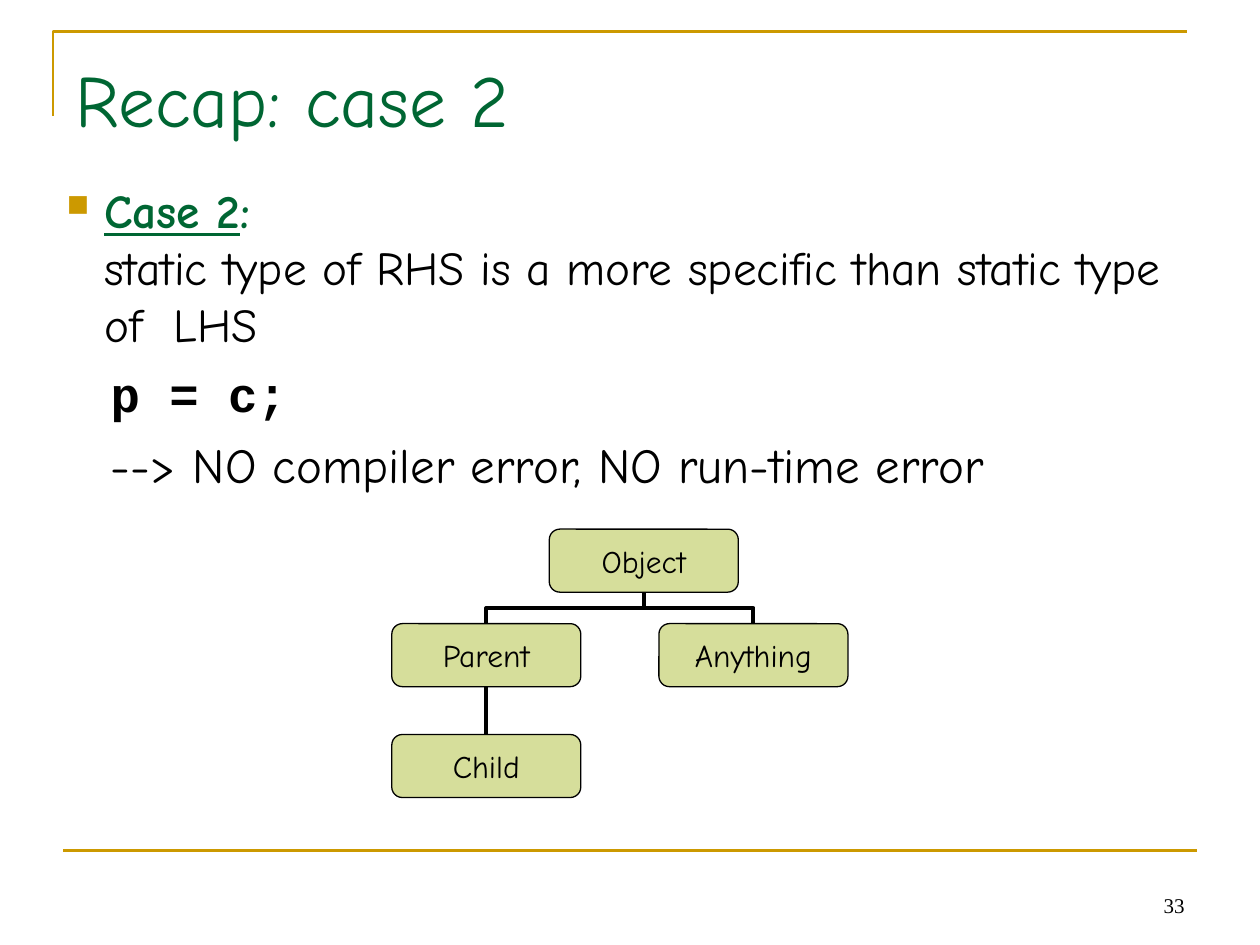
from dataclasses import dataclass

from lxml import etree
from pptx import Presentation
from pptx import util as u
from pptx.dml.color import RGBColor
from pptx.enum import shapes, text
from pptx.oxml import ns

Inches, Pt = u.Inches, u.Pt


@dataclass(frozen=True)
class Theme:
    gold: RGBColor = RGBColor(0xCC, 0x99, 0x00)
    green: RGBColor = RGBColor(0x00, 0x66, 0x33)
    black: RGBColor = RGBColor(0, 0, 0)
    olive: RGBColor = RGBColor(0xAF, 0xBF, 0x39)
    hand: str = "Comic Neue"
    code: str = "Courier New"
    serif: str = "Times New Roman"
    title: u.Pt = Pt(42)
    body: u.Pt = Pt(27)
    code_size: u.Pt = Pt(28)
    label: u.Pt = Pt(18)
    number: u.Pt = Pt(12)


theme = Theme()


def set_font(target, name, size, color, bold=False):
    target.font.name, target.font.size = name, size
    target.font.color.rgb, target.font.bold = color, bold


def add_line(kind, start, end, color, width):
    line = page.shapes.add_connector(kind, *(Inches(v) for v in (*start, *end)))
    line.line.color.rgb, line.line.width = color, Pt(width)
    etree.SubElement(line._element.spPr, ns.qn("a:effectLst"))
    return line


deck = Presentation()
deck.slide_width, deck.slide_height = Inches(10), Inches(7.5)
page = deck.slides.add_slide(deck.slide_layouts[6])

# Gold corner frame and footer rule
outline = page.shapes.build_freeform(Inches(0.42), Inches(0.92))
outline.add_line_segments(
    [(Inches(0.42), Inches(0.25)), (Inches(9.42), Inches(0.25))], close=False)
frame = outline.convert_to_shape()
frame.shadow.inherit = False
frame.fill.background()
frame.line.color.rgb, frame.line.width = theme.gold, Pt(1.5)
add_line(shapes.MSO_CONNECTOR.STRAIGHT, (0.5, 6.75), (9.5, 6.75), theme.gold, 1.5)

# Slide number and title
for words, place, align, font in (
    ("33", (7.17, 6.83, 2.33, 0.5), text.PP_ALIGN.RIGHT,
     (theme.serif, theme.number, theme.black)),
    ("Recap: case 2", (0.5, 0.3, 9, 0.93), text.PP_ALIGN.LEFT,
     (theme.hand, theme.title, theme.green)),
):
    box = page.shapes.add_textbox(*(Inches(v) for v in place))
    frame_text = box.text_frame
    frame_text.word_wrap = True
    frame_text.vertical_anchor = text.MSO_ANCHOR.BOTTOM
    para = frame_text.paragraphs[0]
    para.text, para.alignment = words, align
    set_font(para, *font)
    if words != "33":
        frame_text.margin_bottom = Inches(0.1)

# Body: bulleted case
box = page.shapes.add_textbox(Inches(0.43), Inches(1.39), Inches(9), Inches(4.96))
body = box.text_frame
body.word_wrap = True
para = body.paragraphs[0]
props = para._p.get_or_add_pPr()
props.set("marL", str(Inches(0.3)))
props.set("indent", str(Inches(-0.3)))
bullet_color = etree.SubElement(props, ns.qn("a:buClr"))
etree.SubElement(bullet_color, ns.qn("a:srgbClr"), val=str(theme.gold))
etree.SubElement(props, ns.qn("a:buSzPct"), val="65000")
etree.SubElement(props, ns.qn("a:buChar"), char="■")
for words, color, heading, underline in (
    ("Case 2", theme.green, True, True),
    (": ", theme.green, True, False),
    ("static type of RHS is a more specific than static type of  LHS",
     theme.black, False, False),
):
    if not heading:
        para.add_line_break()
    span = para.add_run()
    span.text = words
    set_font(span, theme.hand, theme.body, color, heading)
    span.font.underline = underline

# Body: code and outcome
for words, name, bold in (
    ("p = c;", theme.code, True),
    ("--> NO compiler error, NO run-time error", theme.hand, False),
):
    para = body.add_paragraph()
    para.text, para.level, para.space_before = words, 1, Pt(7)
    props = para._p.get_or_add_pPr()
    props.set("marL", str(Inches(0.6)))
    props.set("indent", str(Inches(-0.25)))
    etree.SubElement(props, ns.qn("a:buNone"))
    set_font(para, name, theme.code_size, theme.black, bold)

# Class tree: centre x and top of each box
box_width, box_height = 1.5, 0.5
classes = {"Object": (5.11, 4.2), "Parent": (3.86, 4.95),
           "Child": (3.86, 5.83), "Anything": (5.98, 4.95)}

# Elbows leave downwards, so each is laid flat around its centre and turned
root_x, root_bottom = classes["Object"][0], classes["Object"][1] + box_height
for name, side, turn in (("Parent", 1, 90), ("Anything", -1, 270)):
    child_x, child_top = classes[name]
    mid_x, mid_y = (root_x + child_x) / 2, (root_bottom + child_top) / 2
    half_drop, half_run = (child_top - root_bottom) / 2, abs(child_x - root_x) / 2
    elbow = add_line(shapes.MSO_CONNECTOR.ELBOW,
                     (mid_x - side * half_drop, mid_y - half_run),
                     (mid_x + side * half_drop, mid_y + half_run), theme.black, 2.25)
    elbow._element.spPr.xfrm.set("rot", str(turn * 60000))

parent_x, parent_top = classes["Parent"]
stem = add_line(shapes.MSO_CONNECTOR.STRAIGHT, (parent_x, parent_top + box_height),
                classes["Child"], theme.black, 2.25)

nodes = {}
for name, (center, top) in classes.items():
    node = page.shapes.add_shape(
        shapes.MSO_SHAPE.ROUNDED_RECTANGLE, Inches(center - box_width / 2),
        Inches(top), Inches(box_width), Inches(box_height))
    node.shadow.inherit = False
    node.fill.solid()
    node.fill.fore_color.rgb = theme.olive
    tint = node._element.spPr.find(".//" + ns.qn("a:srgbClr"))
    etree.SubElement(tint, ns.qn("a:alpha"), val="50000")
    node.line.color.rgb, node.line.width = theme.black, Pt(0.75)
    node.text_frame.vertical_anchor = text.MSO_ANCHOR.MIDDLE
    para = node.text_frame.paragraphs[0]
    para.text, para.alignment = name, text.PP_ALIGN.CENTER
    set_font(para, theme.hand, theme.label, theme.black)
    nodes[name] = node
stem.begin_connect(nodes["Parent"], 2)
stem.end_connect(nodes["Child"], 0)

deck.save("out.pptx")
